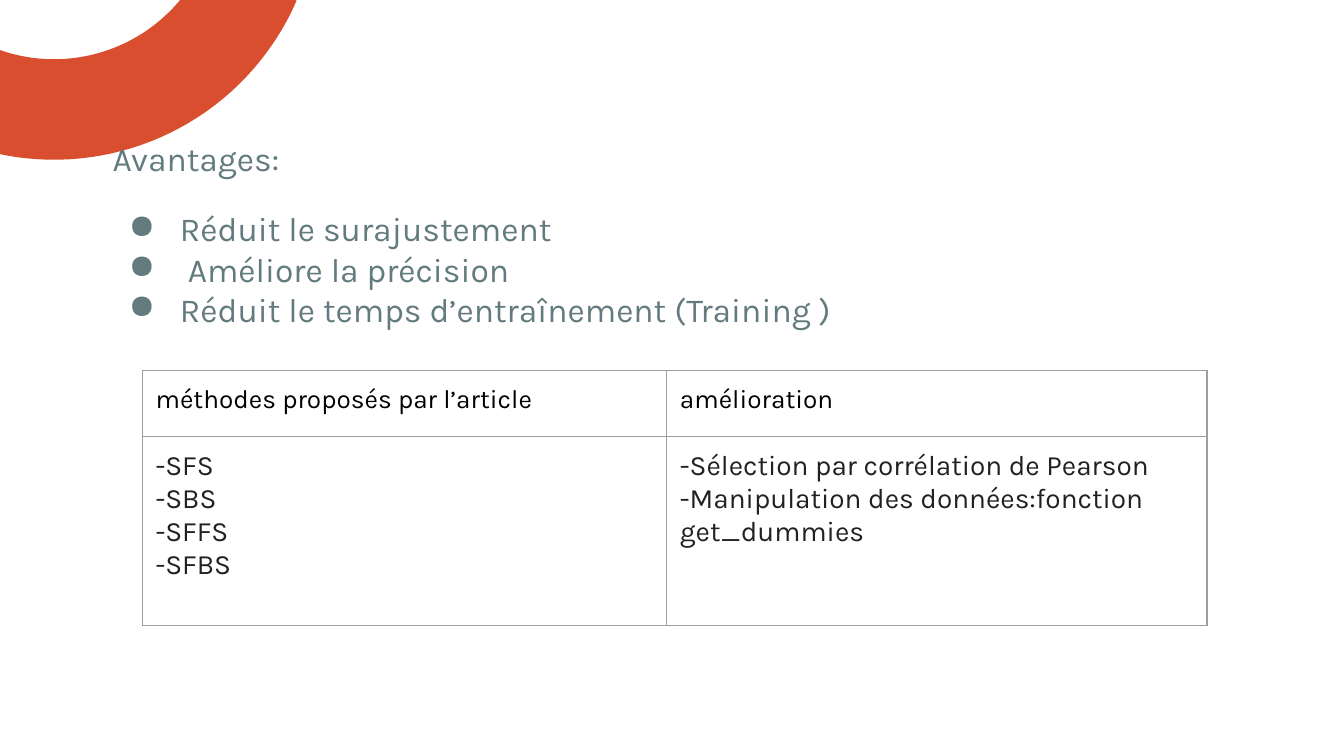
"""Build a slide on the advantages of feature selection, with a table of methods."""
import math

from lxml import etree
from pptx import Presentation, util as u
from pptx.dml.color import RGBColor
from pptx.oxml.ns import qn

ORANGE = RGBColor(0xD8, 0x4E, 0x2E)
SLATE = RGBColor(0x63, 0x7B, 0x7F)
BLACK = RGBColor(0, 0, 0)
CHARCOAL = RGBColor(0x20, 0x21, 0x24)
GREY = RGBColor(0x9E, 0x9E, 0x9E)
FONT = "Karla"
INSET = u.Cm(0.25)

ADVANTAGES = ["Réduit le surajustement", " Améliore la précision",
              "Réduit le temps d’entraînement (Training )"]
HEADERS = ["méthodes proposés par l’article", "amélioration"]
METHODS = ["-SFS", "-SBS", "-SFFS", "-SFBS"]
IMPROVEMENTS = ["-Sélection par corrélation de Pearson",
                "-Manipulation des données:fonction get_dummies"]


def add_colour(parent, colour):
    fill = etree.SubElement(parent, qn("a:solidFill"))
    etree.SubElement(fill, qn("a:srgbClr"), val=str(colour))


def add_bullet(paragraph, colour):
    properties = paragraph._p.get_or_add_pPr()
    properties.set("marL", str(u.Cm(1.27)))
    properties.set("indent", str(u.Cm(-0.97)))
    bullet_colour = etree.SubElement(properties, qn("a:buClr"))
    etree.SubElement(bullet_colour, qn("a:srgbClr"), val=str(colour))
    etree.SubElement(properties, qn("a:buChar"), char="●")


def add_text(frame, content, size=18, colour=SLATE, first=False, bullet=False, before=0):
    paragraph = frame.paragraphs[0] if first else frame.add_paragraph()
    if before:
        paragraph.space_before = u.Pt(before)
    if bullet:
        add_bullet(paragraph, colour)
    run = paragraph.add_run()
    run.text = content
    run.font.name = FONT
    run.font.size = u.Pt(size)
    run.font.color.rgb = colour


def arc_points(centre, radius, start, end, steps=40):
    angles = [math.radians(start + (end - start) * i / steps) for i in range(steps + 1)]
    return [(u.Cm(centre[0] + radius * math.cos(a)), u.Cm(centre[1] + radius * math.sin(a)))
            for a in angles]


def add_ring(slide):
    centre = (1.02, -1.98)
    points = arc_points(centre, 5, 113.5, 23.5) + arc_points(centre, 3.1, 23.5, 113.5)
    builder = slide.shapes.build_freeform(*points[0])
    builder.add_line_segments(points[1:], close=True)
    shape = builder.convert_to_shape()
    shape.shadow.inherit = False
    shape.fill.solid()
    shape.fill.fore_color.rgb = ORANGE
    shape.line.fill.background()


def set_insets(target):
    target.margin_left = target.margin_right = INSET
    target.margin_top = target.margin_bottom = INSET


def add_advantages(slide):
    box = slide.shapes.add_textbox(u.Cm(1.88), u.Cm(2.36), u.Cm(22.71), u.Cm(10.52))
    frame = box.text_frame
    frame.word_wrap = True
    set_insets(frame)
    add_text(frame, "Avantages:", first=True)
    for index, advantage in enumerate(ADVANTAGES):
        add_text(frame, advantage, bullet=True, before=0 if index else 16)


def add_borders(cell):
    properties = cell._tc.get_or_add_tcPr()
    for index, side in enumerate(("lnL", "lnR", "lnT", "lnB")):
        line = etree.Element(qn("a:" + side), w=str(u.Pt(0.75)))
        add_colour(line, GREY)
        properties.insert(index, line)


def fill_cell(cell, lines, size, colour):
    set_insets(cell)
    cell.fill.background()
    add_borders(cell)
    for index, line in enumerate(lines):
        add_text(cell.text_frame, line, size=size, colour=colour, first=index == 0)


def add_methods_table(slide):
    widths, heights = [9.91, 10.21], [1.24, 3.58]
    table = slide.shapes.add_table(2, 2, u.Cm(2.69), u.Cm(7.01),
                                   u.Cm(sum(widths)), u.Cm(sum(heights))).table
    table.first_row = table.horz_banding = False
    for row, height in zip(table.rows, heights):
        row.height = u.Cm(height)
    for index, (width, header, lines) in enumerate(
            zip(widths, HEADERS, [METHODS, IMPROVEMENTS])):
        table.columns[index].width = u.Cm(width)
        fill_cell(table.cell(0, index), [header], 14, BLACK)
        fill_cell(table.cell(1, index), lines, 15, CHARCOAL)


def main():
    presentation = Presentation()
    presentation.slide_width, presentation.slide_height = u.Cm(25.4), u.Cm(14.29)
    slide = presentation.slides.add_slide(presentation.slide_layouts[6])
    add_ring(slide)
    add_advantages(slide)
    add_methods_table(slide)
    presentation.save("out.pptx")


if __name__ == "__main__":
    main()
